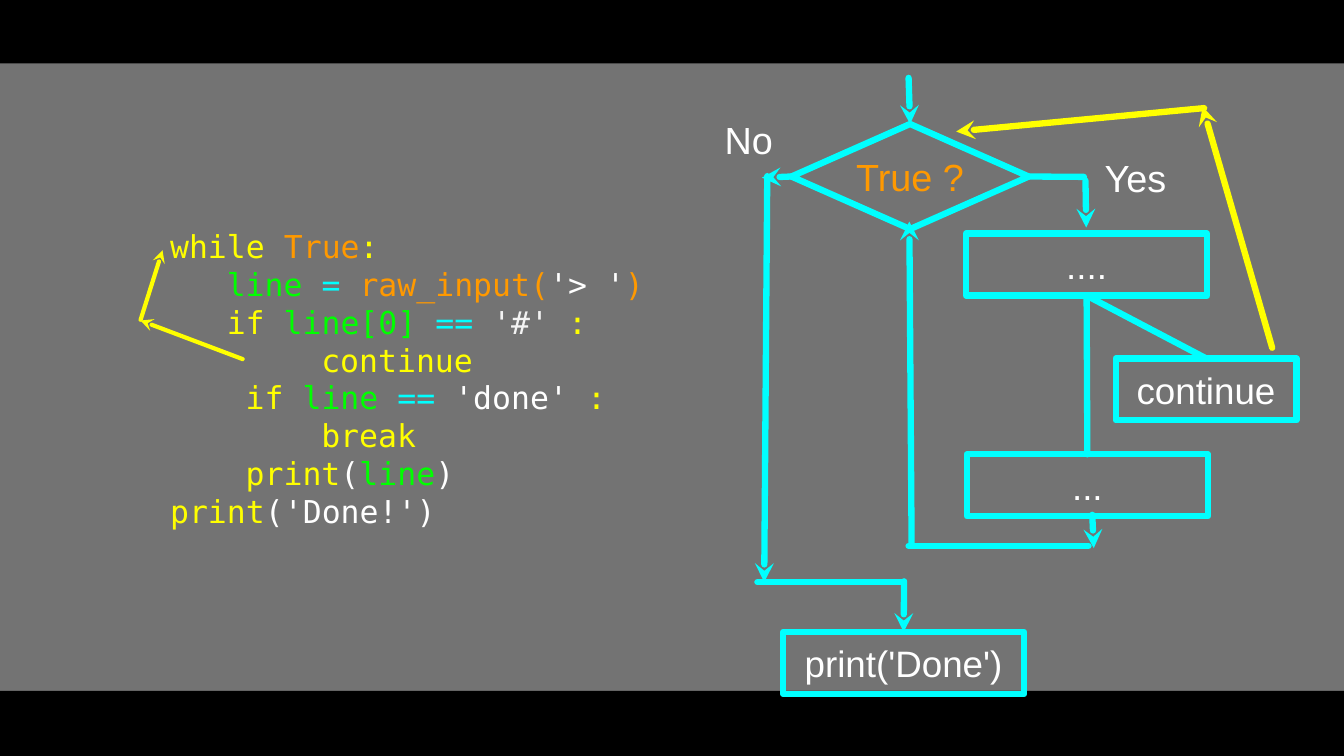
from lxml.etree import SubElement
from pptx import Presentation
from pptx.dml.color import RGBColor
from pptx.enum.shapes import MSO_CONNECTOR, MSO_SHAPE
from pptx.enum.text import MSO_ANCHOR, PP_ALIGN
from pptx.oxml.ns import qn
from pptx.util import Inches, Pt

BLACK = RGBColor(0x00, 0x00, 0x00)
GRAY = RGBColor(0x73, 0x73, 0x73)
WHITE = RGBColor(0xFF, 0xFF, 0xFF)
PALE = RGBColor(0xF3, 0xF3, 0xF3)
YELLOW = RGBColor(0xFF, 0xFF, 0x00)
ORANGE = RGBColor(0xFF, 0x99, 0x00)
GREEN = RGBColor(0x00, 0xFF, 0x00)
CYAN = RGBColor(0x00, 0xFF, 0xFF)

SLIDE_W, SLIDE_H = 17.78, 10
TOP, RIGHT, BOTTOM, LEFT = 0, 3, 2, 1
CHAR_W = 0.25  # width of one code character, in inches

# Indent in characters, then the coloured pieces of each line
CODE = [
    (0, [("while ", YELLOW), ("True", ORANGE), (":", YELLOW)]),
    (3, [("line ", GREEN), ("= ", CYAN), ("raw_input(", ORANGE),
         ("'> '", WHITE), (")", ORANGE)]),
    (3, [("if", YELLOW), (" line[0] ", GREEN), ("== ", CYAN),
         ("'#' ", PALE), (":", YELLOW)]),
    (8, [("continue", YELLOW)]),
    (4, [("if ", YELLOW), ("line ", GREEN), ("== ", CYAN),
         ("'done' ", WHITE), (":", YELLOW)]),
    (8, [("break", YELLOW)]),
    (4, [("print", YELLOW), ("(", WHITE), ("line", GREEN), (")", WHITE)]),
    (0, [("print", YELLOW), ("('Done!')", WHITE)]),
]


def prepare_frame(shape):
    frame = shape.text_frame
    frame.word_wrap = True
    frame.vertical_anchor = MSO_ANCHOR.MIDDLE
    frame.margin_left = frame.margin_right = 0
    frame.margin_top = frame.margin_bottom = 0
    return frame


def write_label(shape, text, size=36, color=WHITE):
    paragraph = prepare_frame(shape).paragraphs[0]
    paragraph.text = text
    paragraph.alignment = PP_ALIGN.CENTER
    paragraph.font.name = "Arial"
    paragraph.font.size = Pt(size)
    paragraph.font.color.rgb = color


def add_line(slide, origin, start, end, color=CYAN, width=6, arrow=True):
    """Straight line between two points relative to origin."""
    x, y = origin
    line = slide.shapes.add_connector(
        MSO_CONNECTOR.STRAIGHT,
        Inches(x + start[0]), Inches(y + start[1]),
        Inches(x + end[0]), Inches(y + end[1]))
    line.line.color.rgb = color
    line.line.width = Pt(width)
    ln = line.line._get_or_add_ln()
    ln.set("cap", "rnd")
    SubElement(ln, qn("a:round"))
    if arrow:
        SubElement(ln, qn("a:tailEnd"), type="stealth")
    SubElement(line._element.spPr, qn("a:effectLst"))
    return line


def add_node(slide, origin, kind, box, text, size=35, color=WHITE):
    """Outlined flowchart node with a centred label."""
    left, top, width, height = box
    node = slide.shapes.add_shape(
        kind, Inches(origin[0] + left), Inches(origin[1] + top),
        Inches(width), Inches(height))
    node.shadow.inherit = False
    node.fill.background()
    node.line.color.rgb = CYAN
    node.line.width = Pt(6)
    write_label(node, text, size, color)
    return node


def add_band(slide, box):
    band = slide.shapes.add_shape(MSO_SHAPE.RECTANGLE, *map(Inches, box))
    band.shadow.inherit = False
    band.fill.solid()
    band.fill.fore_color.rgb = BLACK
    band.line.fill.background()


def add_code_panel(slide, box):
    left, top, width, height = box
    # Listing, to the right of the loop arrows
    gutter = 0.39
    listing = slide.shapes.add_textbox(
        Inches(left + gutter), Inches(top),
        Inches(width - gutter), Inches(height))
    frame = prepare_frame(listing)
    for number, (indent, pieces) in enumerate(CODE):
        paragraph = frame.add_paragraph() if number else frame.paragraphs[0]
        paragraph.line_spacing = Pt(36)
        paragraph.font.name = "DejaVu Sans Mono"
        paragraph.font.size = Pt(30)
        paragraph._p.get_or_add_pPr().set("marL", str(Inches(indent * CHAR_W)))
        for text, color in pieces:
            run = paragraph.add_run()
            run.text = text
            run.font.color.rgb = color

    # From continue back to while
    for start, end in [((1.35, 2.17), (0, 1.66)), ((0, 1.65), (0.29, 0.73))]:
        add_line(slide, (left, top), start, end, YELLOW, 4)


def add_flowchart(slide, origin):
    # Nodes
    decision = add_node(slide, origin, MSO_SHAPE.DIAMOND,
                        (0.97, 0.64, 3.14, 1.39), "True ?", 36, ORANGE)
    done, second_step, first_step, skip = [
        add_node(slide, origin, MSO_SHAPE.RECTANGLE,
                 (left, top, width, 0.82), text)
        for left, top, width, text in [
            (0.86, 7.36, 3.19, "print('Done')"),
            (3.29, 5.01, 3.19, "..."),
            (3.28, 2.09, 3.19, "...."),
            (5.26, 3.74, 2.39, "continue")]]

    # Branch labels
    for left, top, width, text in [(0.01, 0.51, 0.79, "No"),
                                   (5.04, 1, 0.96, "Yes")]:
        branch = slide.shapes.add_textbox(
            Inches(origin[0] + left), Inches(origin[1] + top),
            Inches(width), Inches(0.68))
        write_label(branch, text)

    # Entry
    add_line(slide, origin, (2.52, 0.03), (2.54, 0.64)).end_connect(decision, TOP)

    # Yes branch through the loop body
    yes = add_line(slide, origin, (4.11, 1.34), (4.84, 1.34), arrow=False)
    yes.begin_connect(decision, RIGHT)
    add_line(slide, origin, (4.86, 1.39), (4.87, 2.01))
    for target, end in [(second_step, (4.88, 5.01)), (skip, (6.46, 3.74))]:
        link = add_line(slide, origin, (4.88, 2.91), end, arrow=False)
        link.begin_connect(first_step, BOTTOM)
        link.end_connect(target, TOP)

    # Back to the test
    add_line(slide, origin, (4.95, 5.81), (4.97, 6.25))
    add_line(slide, origin, (4.9, 6.22), (2.52, 6.22), arrow=False)
    add_line(slide, origin, (2.56, 6.22), (2.53, 1.93))

    # No branch to the end
    no = add_line(slide, origin, (0.97, 1.34), (0.58, 1.35))
    no.begin_connect(decision, LEFT)
    add_line(slide, origin, (0.65, 1.33), (0.61, 6.7))
    add_line(slide, origin, (0.52, 6.7), (2.44, 6.7), arrow=False)
    add_line(slide, origin, (2.46, 6.69), (2.46, 7.36)).end_connect(done, TOP)

    # Jump made by continue
    add_line(slide, origin, (7.33, 3.6), (6.41, 0.41), YELLOW)
    add_line(slide, origin, (6.43, 0.43), (3.15, 0.74), YELLOW)


def main():
    deck = Presentation()
    deck.slide_width, deck.slide_height = Inches(SLIDE_W), Inches(SLIDE_H)
    slide = deck.slides.add_slide(deck.slide_layouts[6])
    slide.background.fill.solid()
    slide.background.fill.fore_color.rgb = GRAY
    add_band(slide, (0, 0, SLIDE_W, 0.84))
    add_band(slide, (0, 9.14, SLIDE_W, 0.86))
    add_code_panel(slide, (1.86, 2.58, 7.27, 4.85))
    add_flowchart(slide, (9.5, 1))
    deck.save("out.pptx")


if __name__ == "__main__":
    main()
